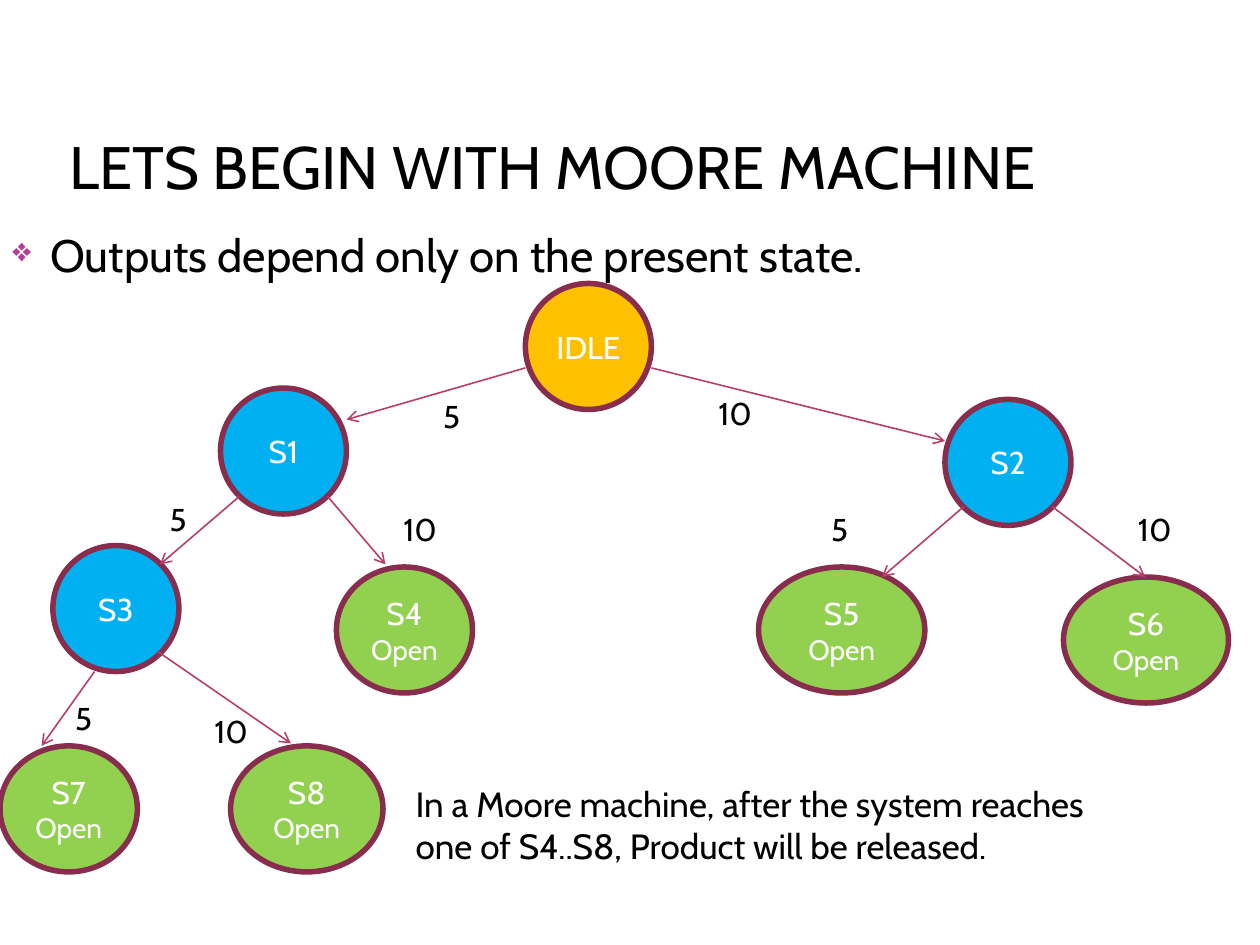
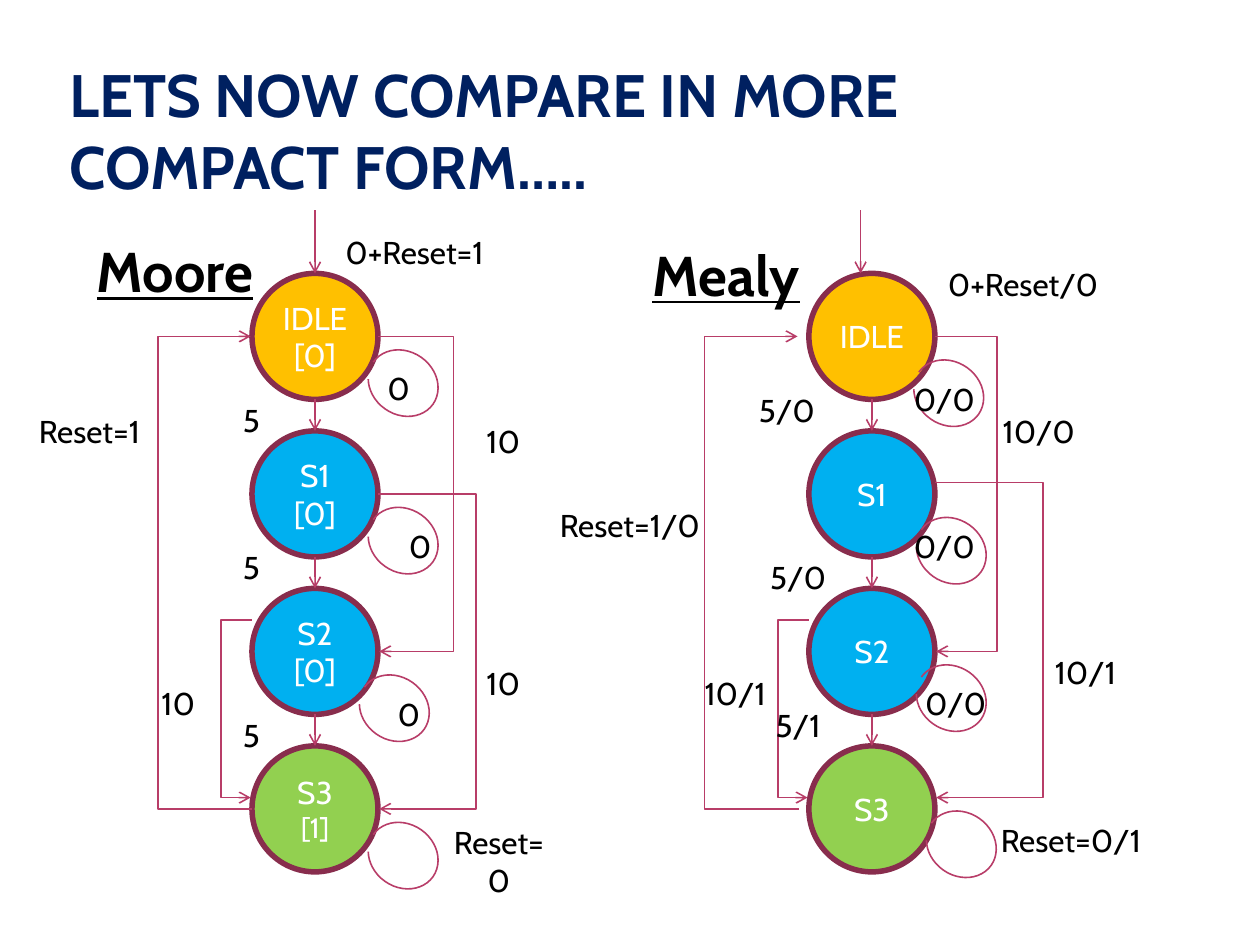
"""Build two slides on Moore and Mealy state machines."""
import lxml.etree
import pptx
import pptx.dml.color
import pptx.enum.shapes
import pptx.enum.text
import pptx.oxml.ns
import pptx.util

Inches = pptx.util.Inches
Pt = pptx.util.Pt
qn = pptx.oxml.ns.qn
SHAPE = pptx.enum.shapes.MSO_SHAPE
LINK = pptx.enum.shapes.MSO_CONNECTOR
ALIGN = pptx.enum.text.PP_ALIGN
ANCHOR = pptx.enum.text.MSO_ANCHOR
FIT = pptx.enum.text.MSO_AUTO_SIZE


class Theme:
    font = "Cabin"
    black, white, navy = "000000", "FFFFFF", "002060"
    start, state, final = "FFC000", "00B0F0", "92D050"
    ring, link, bullet = "882D4D", "B83D68", "B13F9A"
    title, lead, head, note, text, small = 34.2, 26, 32, 20, 18, 16
    thick, thin = 3.15, 0.9


TREE = {
    "title": "LETS BEGIN WITH MOORE MACHINE",
    "lead": "Outputs depend only on the present state.",
    "note": "In a Moore machine, after the system reaches one of S4..S8, "
            "Product will be released.",
    "nodes": [
        ("IDLE", Theme.start, 4.17, 2.25, 1),
        ("S1", Theme.state, 1.75, 3.08, 1),
        ("S2", Theme.state, 7.5, 3.17, 1),
        ("S3", Theme.state, 0.42, 4.33, 1),
        ("S4", Theme.final, 2.67, 4.5, 1.08),
        ("S5", Theme.final, 6.02, 4.5, 1.32),
        ("S6", Theme.final, 8.44, 4.58, 1.31),
        ("S7", Theme.final, 0, 5.92, 1.09),
        ("S8", Theme.final, 1.83, 5.92, 1.21),
    ],
    "edges": [
        ((4.17, 2.92), (2.75, 3.33), "5", (3.25, 3.1)),
        ((5.17, 2.92), (7.5, 3.5), "10", (5.5, 3.08)),
        ((1.9, 3.94), (1.27, 4.48), "5", (1.08, 3.92)),
        ((2.6, 3.94), (3.06, 4.48), "10", (3, 4)),
        ((7.65, 4.02), (7, 4.58), "5", (6.33, 4)),
        ((8.35, 4.02), (9.09, 4.58), "10", (8.83, 4)),
        ((0.75, 5.33), (0.33, 5.92), "5", (0.33, 5.5)),
        ((1.25, 5.17), (2.31, 5.9), "10", (1.5, 5.6)),
    ],
}

PAIR_TITLE = "LETS NOW COMPARE IN MORE COMPACT FORM….."
STATES = [("IDLE", Theme.start), ("S1", Theme.state),
          ("S2", Theme.state), ("S3", Theme.final)]
TOP, STEP, ENTRY = 2.17, 1.25, 1.67

PAIR = [
    {
        "name": "Moore", "head": (0.67, 1.83), "left": 2, "entry": 2.5,
        "outs": ["[0]", "[0]", "[0]", "[1]"],
        "rails": [(3, 2.67, 3.61, 5.17), (3, 3.92, 3.79, 6.42),
                  (2, 6.42, 1.24, 2.67), (2, 4.92, 1.75, 6.33)],
        "loops": [(2.95, 2.75), (2.95, 4), (2.88, 5.33), (2.95, 6.5)],
        "labels": [
            ("0+Reset=1", 2.58, 1.75, 1.42), ("Reset=1", 0.17, 3.17, 1.08),
            ("Reset=0", 3.42, 6.58, 1.08),
            ("0", 2.75, 2.83, 0.83), ("0", 2.92, 4.08, 0.83),
            ("0", 2.83, 5.42, 0.83), ("10", 3.58, 3.25, 0.83),
            ("10", 3.58, 5.17, 0.83), ("10", 1, 5.33, 0.83),
            ("5", 1.58, 3.08, 0.83), ("5", 1.58, 4.25, 0.83),
            ("5", 1.58, 5.58, 0.83),
        ],
    },
    {
        "name": "Mealy", "head": (5.08, 1.86), "left": 6.42, "entry": 6.83,
        "outs": [None] * 4,
        "rails": [(7.42, 2.67, 7.92, 5.17), (7.42, 3.83, 8.29, 6.33),
                  (6.34, 6.42, 5.58, 2.67), (6.42, 4.92, 6.17, 6.33)],
        "loops": [(7.28, 2.83), (7.3, 4.08), (7.3, 5.25), (7.38, 6.41)],
        "labels": [
            ("0+Reset/0", 7.33, 2, 1.58), ("Reset=1/0", 4.25, 3.92, 1.5),
            ("Reset=0/1", 7.75, 6.42, 1.5),
            ("0/0", 7.08, 2.92, 0.83), ("0/0", 7.08, 4.08, 0.83),
            ("0/0", 7.17, 5.33, 0.83), ("10/0", 7.83, 3.17, 0.83),
            ("10/1", 8.2, 5.08, 0.83), ("10/1", 5.42, 5.25, 0.83),
            ("5/0", 5.83, 3, 0.83), ("5/0", 5.92, 4.33, 0.83),
            ("5/1", 5.92, 5.5, 0.83),
        ],
    },
]


def rgb(code):
    return pptx.dml.color.RGBColor.from_string(code)


def put(item, vals):
    for key, val in vals.items():
        setattr(item, key, val)


def box(*nums):
    return [Inches(num) for num in nums]


def write(shape, lines, color=Theme.black, align=ALIGN.CENTER, frame=None, **font):
    body = shape.text_frame
    put(body, {"word_wrap": True, "auto_size": FIT.NONE, **(frame or {})})
    for num, (text, size) in enumerate(lines):
        para = body.add_paragraph() if num else body.paragraphs[0]
        para.alignment = align
        run = para.add_run()
        run.text = text
        put(run.font, {"name": Theme.font, "size": Pt(size), **font})
        run.font.color.rgb = rgb(color)


def stroke(item, color, width):
    item.line.color.rgb = rgb(color)
    item.line.width = Pt(width)


def begin(deck, title, color, bold):
    slide = deck.slides.add_slide(deck.slide_layouts[5])
    head = slide.shapes.title
    put(head, dict(zip(("left", "top", "width", "height"), box(0.5, 0.35, 7.92, 1.25))))
    edge = Inches(0.05)
    write(head, [(title, Theme.title)], color, ALIGN.LEFT, bold=bold, frame={
        "vertical_anchor": ANCHOR.BOTTOM, "margin_left": edge,
        "margin_right": edge, "margin_top": 0, "margin_bottom": 0})
    return slide


def prose(slide, place, text, size, align=ALIGN.LEFT, **font):
    area = slide.shapes.add_textbox(*box(*place))
    write(area, [(text, size)], align=align, **font)
    return area


def node(slide, place, fill, lines):
    disc = slide.shapes.add_shape(SHAPE.OVAL, *box(*place))
    disc.shadow.inherit = False
    disc.fill.solid()
    disc.fill.fore_color.rgb = rgb(fill)
    stroke(disc, Theme.ring, Theme.thick)
    write(disc, lines, Theme.white,
          frame={"word_wrap": False, "vertical_anchor": ANCHOR.MIDDLE})


def arrow(slide, start, end, rail=None):
    kind = LINK.STRAIGHT if rail is None else LINK.ELBOW
    link = slide.shapes.add_connector(kind, *box(*start, *end))
    stroke(link, Theme.link, Theme.thin)
    props = link._element.spPr
    lxml.etree.SubElement(link.line._get_or_add_ln(), qn("a:tailEnd"), type="arrow")
    lxml.etree.SubElement(props, qn("a:effectLst"))
    if rail is not None:
        ratio = round((rail - start[0]) / (end[0] - start[0]) * 100000)
        lxml.etree.SubElement(props.find(".//" + qn("a:avLst")), qn("a:gd"),
                              name="adj1", fmla=f"val {ratio}")


def bend(slide, x, y1, rail, y2):
    nudge = 0.01 if rail > x else -0.01
    arrow(slide, (x, y1), (x + nudge, y2), rail)


def loop(slide, x, y):
    arc = slide.shapes.add_shape(SHAPE.ARC, *box(x, y, 0.5, 0.58))
    arc.shadow.inherit = False
    arc.fill.background()
    stroke(arc, Theme.link, Theme.thin)
    arc.rotation = 305.2
    arc.adjustments[0], arc.adjustments[1] = 162, 144.79


def label(slide, text, x, y, width):
    tag = slide.shapes.add_shape(SHAPE.ROUNDED_RECTANGLE, *box(x, y, width, 0.5))
    tag.shadow.inherit = False
    tag.fill.background()
    tag.line.fill.background()
    write(tag, [(text, Theme.text)], frame={"vertical_anchor": ANCHOR.MIDDLE})


def mark(area):
    para = area.text_frame.paragraphs[0]
    para.space_before = Pt(6)
    props = para._p.get_or_add_pPr()
    props.set("marL", str(Inches(0.3)))
    props.set("indent", str(-Inches(0.3)))
    tint = lxml.etree.SubElement(props, qn("a:buClr"))
    lxml.etree.SubElement(tint, qn("a:srgbClr"), val=Theme.bullet)
    lxml.etree.SubElement(props, qn("a:buSzPct"), val="73000")
    lxml.etree.SubElement(props, qn("a:buChar"), char="❖")


def draw_tree(deck):
    slide = begin(deck, TREE["title"], Theme.black, False)
    mark(prose(slide, (0, 1.75, 9.59, 0.6), TREE["lead"], Theme.lead))
    for name, fill, x, y, width in TREE["nodes"]:
        lines = [(name, Theme.text)]
        if fill == Theme.final:
            lines.append(("Open", Theme.small))
        node(slide, (x, y, width, 1), fill, lines)
    for start, end, coin, spot in TREE["edges"]:
        arrow(slide, start, end)
        prose(slide, (*spot, 0.67, 0.4), coin, Theme.text, ALIGN.CENTER)
    prose(slide, (3.2, 6.16, 5.63, 1.3), TREE["note"], Theme.note)


def draw_pair(deck):
    slide = begin(deck, PAIR_TITLE, Theme.navy, True)
    for plan in PAIR:
        left, mid = plan["left"], plan["left"] + 0.5
        for num, ((name, fill), out) in enumerate(zip(STATES, plan["outs"])):
            y = TOP + num * STEP
            lines = [(name, Theme.text)]
            if out:
                lines.append((out, Theme.small if fill == Theme.final else Theme.text))
            node(slide, (left, y, 1, 1), fill, lines)
            if num:
                arrow(slide, (mid, y - STEP + 1), (mid, y))
        arrow(slide, (plan["entry"], ENTRY), (plan["entry"], TOP))
        for rail in plan["rails"]:
            bend(slide, *rail)
        for spot in plan["loops"]:
            loop(slide, *spot)
        for tag in plan["labels"]:
            label(slide, *tag)
        prose(slide, (*plan["head"], 1.58, 0.64), plan["name"], Theme.head,
              bold=True, underline=True)


def main():
    deck = pptx.Presentation()
    put(deck, {"slide_width": Inches(10), "slide_height": Inches(7.5)})
    draw_tree(deck)
    draw_pair(deck)
    deck.save("out.pptx")


if __name__ == "__main__":
    main()
